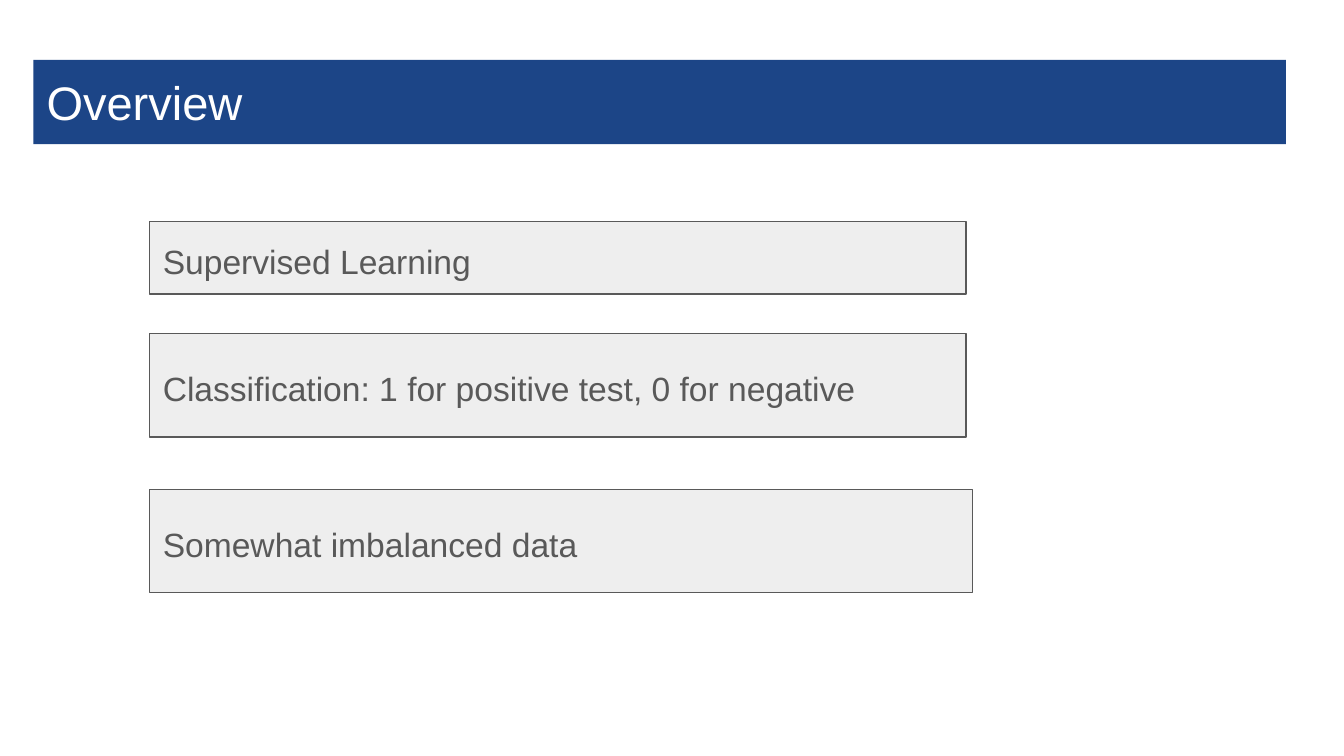
from dataclasses import dataclass

from pptx import Presentation
from pptx.dml.color import RGBColor
from pptx.enum.shapes import MSO_SHAPE
from pptx.enum.text import MSO_ANCHOR, PP_ALIGN
from pptx.util import Inches, Pt

SLIDE_WIDTH = 10
SLIDE_HEIGHT = SLIDE_WIDTH * 9 / 16


@dataclass(frozen=True)
class Theme:
    font: str = "Arial"
    banner: RGBColor = RGBColor(0x1C, 0x45, 0x87)
    banner_text: RGBColor = RGBColor(0xFF, 0xFF, 0xFF)
    card: RGBColor = RGBColor(0xEE, 0xEE, 0xEE)
    ink: RGBColor = RGBColor(0x59, 0x59, 0x59)
    title_size: float = 25.2
    body_size: float = 18
    border: float = 0.75
    inset: float = 0.1


THEME = Theme()


def add_box(slide, left, top, width, height, fill):
    """Add a borderless rectangle; lengths are percentages of the slide."""
    shape = slide.shapes.add_shape(
        MSO_SHAPE.RECTANGLE,
        Inches(SLIDE_WIDTH * left / 100),
        Inches(SLIDE_HEIGHT * top / 100),
        Inches(SLIDE_WIDTH * width / 100),
        Inches(SLIDE_HEIGHT * height / 100),
    )
    shape.shadow.inherit = False
    shape.fill.solid()
    shape.fill.fore_color.rgb = fill
    shape.line.fill.background()
    return shape


def write_text(shape, text, size, color, anchor):
    frame = shape.text_frame
    frame.word_wrap = True
    frame.vertical_anchor = anchor
    frame.margin_left = frame.margin_right = Inches(THEME.inset)
    frame.margin_top = frame.margin_bottom = Inches(THEME.inset)
    paragraph = frame.paragraphs[0]
    paragraph.alignment = PP_ALIGN.LEFT
    run = paragraph.add_run()
    run.text = text
    run.font.name = THEME.font
    run.font.size = Pt(size)
    run.font.color.rgb = color
    return paragraph


def add_banner(slide, text):
    banner = add_box(slide, 2.48, 7.93, 93.2, 11.15, THEME.banner)
    write_text(banner, text, THEME.title_size, THEME.banner_text, MSO_ANCHOR.TOP)


def add_card(slide, text, top, width, height):
    card = add_box(slide, 11.13, top, width, height, THEME.card)
    card.line.color.rgb = THEME.ink
    card.line.width = Pt(THEME.border)
    paragraph = write_text(card, text, THEME.body_size, THEME.ink, MSO_ANCHOR.MIDDLE)
    paragraph.line_spacing = 1.15
    paragraph.space_after = Pt(12)


def main():
    presentation = Presentation()
    presentation.slide_width = Inches(SLIDE_WIDTH)
    presentation.slide_height = Inches(SLIDE_HEIGHT)
    slide = presentation.slides.add_slide(presentation.slide_layouts[6])

    add_banner(slide, "Overview")
    cards = [
        ("Supervised Learning", 29.3, 60.75, 9.6),
        ("Classification: 1 for positive test, 0 for negative", 44.15, 60.75, 13.65),
        ("Somewhat imbalanced data", 64.75, 61.25, 13.65),
    ]
    for text, top, width, height in cards:
        add_card(slide, text, top, width, height)

    presentation.save("out.pptx")


if __name__ == "__main__":
    main()
